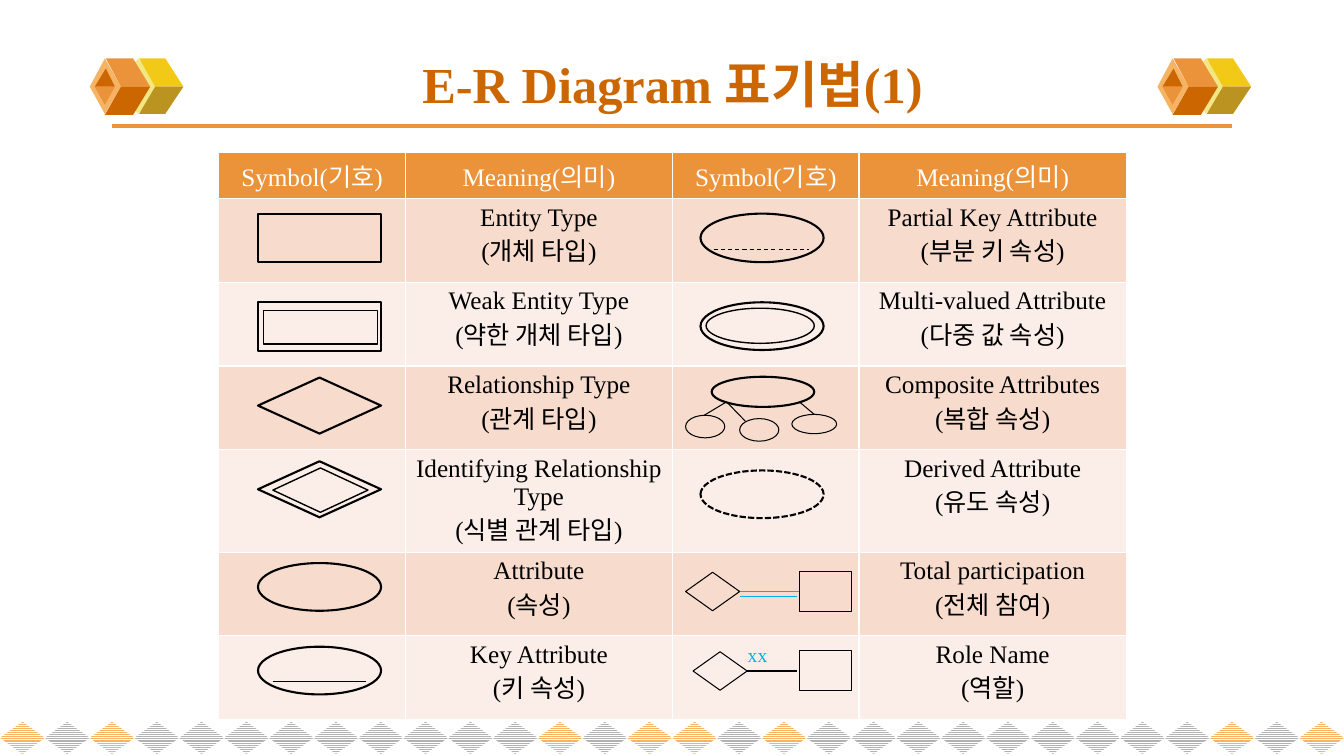
from dataclasses import dataclass

from lxml import etree
from pptx import Presentation
from pptx.dml.color import RGBColor
from pptx.enum.dml import MSO_LINE, MSO_PATTERN
from pptx.enum.shapes import MSO_CONNECTOR, MSO_SHAPE
from pptx.enum.text import MSO_ANCHOR, PP_ALIGN
from pptx.oxml.ns import qn
from pptx.util import Emu, Inches, Pt

RECTANGLE, ELLIPSE = MSO_SHAPE.RECTANGLE, MSO_SHAPE.OVAL
DIAMOND, DECISION = MSO_SHAPE.DIAMOND, MSO_SHAPE.FLOWCHART_DECISION
DASH, SHORT_DASH = MSO_LINE.DASH, MSO_LINE.SQUARE_DOT
STRAIGHT, CENTER, MIDDLE = MSO_CONNECTOR.STRAIGHT, PP_ALIGN.CENTER, MSO_ANCHOR.MIDDLE
NARROW_STRIPES = MSO_PATTERN.NARROW_HORIZONTAL

WHITE, BLACK = RGBColor(255, 255, 255), RGBColor(0, 0, 0)
RUST, ORANGE = RGBColor(0xCC, 0x66, 0x00), RGBColor(0xEB, 0x93, 0x3B)
AMBER, GRAY = RGBColor(0xF5, 0xB3, 0x63), RGBColor(0xB2, 0xB2, 0xB2)
CREAM, YELLOW = RGBColor(0xF1, 0xE7, 0x85), RGBColor(0xF3, 0xC9, 0x17)
OLIVE, BLUE = RGBColor(0xBB, 0x93, 0x21), RGBColor(0x00, 0xB0, 0xF0)
BANDS = (RGBColor(0xF7, 0xDC, 0xCE), RGBColor(0xFB, 0xEE, 0xE8))
FONT = "Times New Roman"

# Grid of the table, in inches
TABLE_LEFT, TABLE_TOP = 2.17, 1.51
COLUMN_WIDTHS = (1.85, 2.65, 1.85, 2.65)
HEADER_HEIGHT, ROW_HEIGHT = 0.44, 0.83
ROW_TOPS = (1.97, 2.8, 3.63, 4.46, 5.47, 6.3)

HEADER = ("Symbol(기호)", "Meaning(의미)") * 2
MEANINGS = (
    ("Entity Type\n(개체 타입)", "Partial Key Attribute\n(부분 키 속성)"),
    ("Weak Entity Type\n(약한 개체 타입)", "Multi-valued Attribute\n(다중 값 속성)"),
    ("Relationship Type\n(관계 타입)", "Composite Attributes\n(복합 속성)"),
    ("Identifying Relationship Type\n(식별 관계 타입)", "Derived Attribute\n(유도 속성)"),
    ("Attribute\n(속성)", "Total participation\n(전체 참여)"),
    ("Key Attribute\n(키 속성)", "Role Name\n(역할)"),
)


@dataclass(frozen=True)
class Outline:
    """A shape inside a symbol cell; box holds shares of the cell."""
    column: int
    row: int
    kind: int
    box: tuple[float, float, float, float]
    weight: float = 1.5
    dash: int | None = None


@dataclass(frozen=True)
class Stroke:
    """A line inside a symbol cell; ends hold shares of the cell."""
    column: int
    row: int
    ends: tuple[float, float, float, float]
    color: RGBColor = BLACK
    dash: int | None = None


@dataclass(frozen=True)
class Facet:
    """A face of the cube, in inches from the cube's corner."""
    points: tuple[tuple[float, float], ...]
    color: RGBColor


OUTLINES = (
    Outline(0, 0, RECTANGLE, (0.21, 0.18, 0.66, 0.58)),
    Outline(0, 1, RECTANGLE, (0.21, 0.24, 0.66, 0.58)),
    Outline(0, 1, RECTANGLE, (0.24, 0.34, 0.61, 0.4), 1),
    Outline(0, 2, DECISION, (0.21, 0.14, 0.66, 0.67)),
    Outline(0, 3, DECISION, (0.21, 0.14, 0.66, 0.67)),
    Outline(0, 3, DECISION, (0.29, 0.22, 0.51, 0.53), 1),
    Outline(0, 4, ELLIPSE, (0.21, 0.14, 0.66, 0.57)),
    Outline(0, 5, ELLIPSE, (0.21, 0.14, 0.66, 0.57)),
    Outline(2, 0, ELLIPSE, (0.15, 0.18, 0.66, 0.58)),
    Outline(2, 1, ELLIPSE, (0.15, 0.24, 0.66, 0.57)),
    Outline(2, 1, ELLIPSE, (0.18, 0.31, 0.58, 0.42), 1),
    Outline(2, 2, ELLIPSE, (0.21, 0.13, 0.55, 0.36)),
    Outline(2, 2, ELLIPSE, (0.07, 0.59, 0.21, 0.27), 0.75),
    Outline(2, 2, ELLIPSE, (0.36, 0.63, 0.21, 0.27), 0.75),
    Outline(2, 2, ELLIPSE, (0.64, 0.58, 0.24, 0.23), 0.75),
    Outline(2, 3, ELLIPSE, (0.15, 0.25, 0.66, 0.57), dash=SHORT_DASH),
    Outline(2, 4, DECISION, (0.07, 0.25, 0.29, 0.46), 0.75),
    Outline(2, 4, RECTANGLE, (0.68, 0.24, 0.28, 0.48), 0.75),
    Outline(2, 5, DECISION, (0.11, 0.2, 0.29, 0.46), 0.75),
    Outline(2, 5, RECTANGLE, (0.68, 0.18, 0.28, 0.48), 0.75),
)
STROKES = (
    Stroke(0, 5, (0.29, 0.55, 0.79, 0.55)),
    Stroke(2, 0, (0.22, 0.61, 0.73, 0.61), dash=DASH),
    Stroke(2, 2, (0.29, 0.43, 0.17, 0.59)),
    Stroke(2, 2, (0.29, 0.43, 0.39, 0.66)),
    Stroke(2, 2, (0.68, 0.43, 0.76, 0.58)),
    Stroke(2, 4, (0.36, 0.48, 0.68, 0.48), BLUE),
    Stroke(2, 4, (0.36, 0.54, 0.67, 0.54), BLUE),
    Stroke(2, 5, (0.4, 0.43, 0.67, 0.43)),
)
FACETS = (
    Facet(((0.48, 0), (0.7, 0.28), (0.48, 0.55), (0.26, 0.28)), CREAM),
    Facet(((0.65, 0.28), (0.93, 0.28), (0.75, 0), (0.49, 0)), YELLOW),
    Facet(((0.65, 0.28), (0.93, 0.28), (0.75, 0.55), (0.49, 0.55)), OLIVE),
    Facet(((0.15, 0), (0.31, 0.28), (0.15, 0.55), (0, 0.28)), AMBER),
    Facet(((0.31, 0.28), (0.6, 0.28), (0.43, 0), (0.16, 0)), ORANGE),
    Facet(((0.31, 0.28), (0.6, 0.28), (0.43, 0.56), (0.15, 0.56)), RUST),
    Facet(((0.16, 0.1), (0.05, 0.28), (0.25, 0.28)), RUST),
    Facet(((0.15, 0.46), (0.05, 0.28), (0.25, 0.28)), ORANGE),
)
CUBE_LEFTS, CUBE_TOP = (0.89, 11.48), 0.58
TILE_COUNT, TILE_TOP, TILE_HEIGHT = 30, 7.16, 0.32
AMBER_TILES = {0, 2, 12, 14, 15, 17, 27, 29}


def place(column: int, row: int, x: float, y: float) -> tuple[Emu, Emu]:
    """Turn shares of a table cell into a point on the slide."""
    left = TABLE_LEFT + sum(COLUMN_WIDTHS[:column])
    return Inches(left + x * COLUMN_WIDTHS[column]), Inches(ROW_TOPS[row] + y * ROW_HEIGHT)


def format_text(text_frame, size: float, color: RGBColor, bold: bool = False, align=CENTER) -> None:
    for paragraph in text_frame.paragraphs:
        paragraph.alignment = align
        for run in paragraph.runs:
            run.font.name, run.font.size, run.font.bold = FONT, Pt(size), bold
            run.font.color.rgb = color


def draw_line(slide, start: tuple, end: tuple, color: RGBColor, weight: float, dash=None) -> None:
    connector = slide.shapes.add_connector(STRAIGHT, *start, *end)
    connector.line.color.rgb, connector.line.width = color, Pt(weight)
    if dash is not None:
        connector.line.dash_style = dash
    etree.SubElement(connector._element.spPr, qn("a:effectLst"))


def draw_outline(slide, outline: Outline) -> None:
    x, y, width, height = outline.box
    shape = slide.shapes.add_shape(
        outline.kind, *place(outline.column, outline.row, x, y),
        Inches(width * COLUMN_WIDTHS[outline.column]), Inches(height * ROW_HEIGHT))
    shape.shadow.inherit = False
    shape.fill.background()
    shape.line.color.rgb, shape.line.width = BLACK, Pt(outline.weight)
    if outline.dash is not None:
        shape.line.dash_style = outline.dash


def draw_facet(slide, facet: Facet, left: float) -> None:
    points = [(Inches(left + x), Inches(CUBE_TOP + y)) for x, y in facet.points]
    builder = slide.shapes.build_freeform(*points[0])
    builder.add_line_segments(points[1:], close=True)
    shape = builder.convert_to_shape()
    shape.shadow.inherit = False
    shape.fill.solid()
    shape.fill.fore_color.rgb = facet.color
    shape.line.fill.background()


def draw_tile(slide, index: int, width: float) -> None:
    shape = slide.shapes.add_shape(
        DIAMOND, Emu(int(index * width)), Inches(TILE_TOP), Emu(int(width)), Inches(TILE_HEIGHT))
    shape.shadow.inherit = False
    shape.fill.patterned()
    shape.fill.pattern = NARROW_STRIPES
    shape.fill.fore_color.rgb = AMBER if index in AMBER_TILES else GRAY
    shape.fill.back_color.rgb = WHITE
    shape.line.fill.background()


def fill_cell(cell, text: str, fill: RGBColor, color: RGBColor) -> None:
    cell.text_frame.text = text
    format_text(cell.text_frame, 18, color)
    properties = cell._tc.get_or_add_tcPr()
    for side in ("a:lnL", "a:lnR", "a:lnT", "a:lnB"):
        border = etree.SubElement(properties, qn(side), w=str(Pt(1)))
        paint = etree.SubElement(border, qn("a:solidFill"))
        etree.SubElement(paint, qn("a:srgbClr"), val=str(WHITE))
    cell.fill.solid()
    cell.fill.fore_color.rgb = fill


def draw_table(slide) -> None:
    rows = [HEADER] + [("", left, "", right) for left, right in MEANINGS]
    heights = [HEADER_HEIGHT] + [ROW_HEIGHT] * len(MEANINGS)
    table = slide.shapes.add_table(
        len(rows), len(COLUMN_WIDTHS), Inches(TABLE_LEFT), Inches(TABLE_TOP),
        Inches(sum(COLUMN_WIDTHS)), Inches(sum(heights))).table
    for column, width in zip(table.columns, COLUMN_WIDTHS):
        column.width = Inches(width)
    for index, (texts, height) in enumerate(zip(rows, heights)):
        table.rows[index].height = Inches(height)
        fill, color = (BANDS[(index - 1) % 2], BLACK) if index else (ORANGE, WHITE)
        for cell, text in zip(table.rows[index].cells, texts):
            fill_cell(cell, text, fill, color)


def main() -> None:
    presentation = Presentation()
    presentation.slide_width, presentation.slide_height = Inches(13.33), Inches(7.5)
    slide = presentation.slides.add_slide(presentation.slide_layouts[5])

    # Title, rule and cubes
    title = slide.shapes.title
    title.left, title.top, title.width, title.height = map(Inches, (0.67, 0.4, 12, 0.85))
    title.text_frame.text = "E-R Diagram 표기법(1)"
    title.text_frame.vertical_anchor = MIDDLE
    format_text(title.text_frame, 36, RUST, bold=True)
    draw_line(slide, (Inches(1.11), Inches(1.25)), (Inches(12.22), Inches(1.25)), ORANGE, 2.25)
    for left in CUBE_LEFTS:
        for facet in FACETS:
            draw_facet(slide, facet, left)

    # Bottom band
    for index in range(TILE_COUNT):
        draw_tile(slide, index, presentation.slide_width / TILE_COUNT)

    # Table and its symbols
    draw_table(slide)
    for outline in OUTLINES:
        draw_outline(slide, outline)
    for stroke in STROKES:
        x1, y1, x2, y2 = stroke.ends
        start, end = (place(stroke.column, stroke.row, *point) for point in ((x1, y1), (x2, y2)))
        draw_line(slide, start, end, stroke.color, 0.75, stroke.dash)
    role = slide.shapes.add_textbox(*place(2, 5, 0.35, 0.04), Inches(0.52), Inches(0.34))
    role.text_frame.word_wrap = True
    role.text_frame.text = "xx"
    format_text(role.text_frame, 14, BLUE, align=PP_ALIGN.LEFT)

    presentation.save("out.pptx")


if __name__ == "__main__":
    main()
